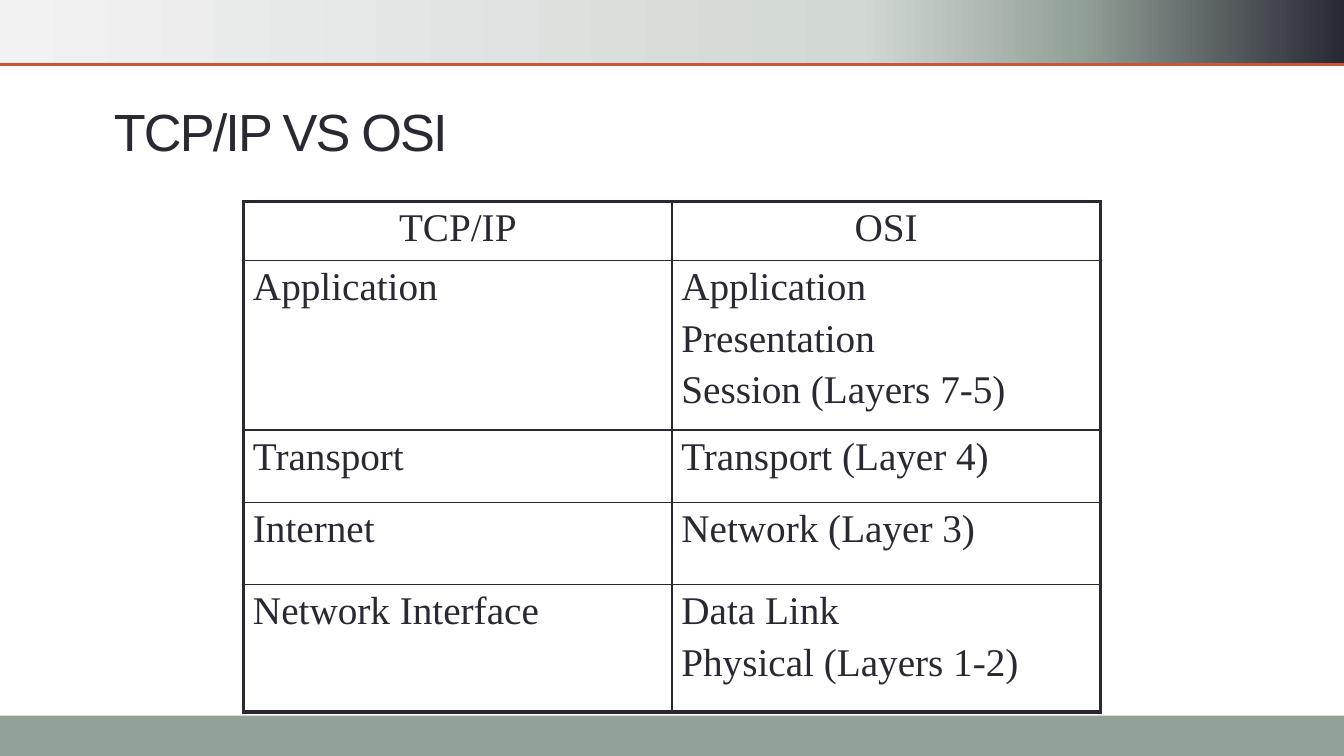
from dataclasses import dataclass

from lxml import etree
from pptx import Presentation, util as u
from pptx.dml.color import RGBColor
from pptx.enum import shapes, text
from pptx.oxml import ns

INK = RGBColor(0x29, 0x29, 0x34)
SAGE = RGBColor(0x93, 0xA2, 0x99)
RUST = RGBColor(0xD2, 0x53, 0x3C)
BAND_STOPS = (
    (0, RGBColor(0xF2, 0xF2, 0xF2)),
    (64, RGBColor(0xD2, 0xD8, 0xD4)),
    (80, SAGE),
    (100, INK),
)
THICK, THIN = 2.25, 1
SLIDE_WIDTH = 10
SLIDE_HEIGHT = SLIDE_WIDTH * 9 / 16
HEADER_HEIGHT, FOOTER_HEIGHT = 0.48, 0.3
COLUMN_WIDTH = 51 / 16
TITLE_FORMAT = {"name": "Arial", "size": u.Pt(28)}
LAYER_FORMAT = {"name": "Times New Roman", "size": u.Pt(21)}
LINE_GAP = u.Pt(4.2)
CELL_FORMAT = {
    "margin_left": u.Inches(0.07),
    "margin_right": u.Inches(0.07),
    "margin_top": u.Inches(0.04),
    "margin_bottom": u.Inches(0.04),
}


@dataclass(frozen=True)
class LayerRow:
    height: float
    tcp_ip: tuple[str, ...]
    osi: tuple[str, ...]
    align: text.PP_ALIGN = text.PP_ALIGN.LEFT


LAYER_ROWS = (
    LayerRow(0.44, ("TCP/IP",), ("OSI",), text.PP_ALIGN.CENTER),
    LayerRow(1.26, ("Application",),
             ("Application", "Presentation", "Session (Layers 7-5)")),
    LayerRow(0.54, ("Transport",), ("Transport (Layer 4)",)),
    LayerRow(0.61, ("Internet",), ("Network (Layer 3)",)),
    LayerRow(0.95, ("Network Interface",), ("Data Link", "Physical (Layers 1-2)")),
)


def apply_format(target, values: dict) -> None:
    for attribute, value in values.items():
        setattr(target, attribute, value)


def add_band(slide, top: float, height: float):
    band = slide.shapes.add_shape(
        shapes.MSO_SHAPE.RECTANGLE, 0, u.Inches(top),
        u.Inches(SLIDE_WIDTH), u.Inches(height))
    band.shadow.inherit = False
    band.line.fill.background()
    return band


def set_gradient(band, stops) -> None:
    band.fill.gradient()
    band.fill.gradient_angle = 0
    stop_list = band._element.spPr.find(ns.qn("a:gradFill")).find(ns.qn("a:gsLst"))
    for old_stop in list(stop_list):
        stop_list.remove(old_stop)
    for percent, color in stops:
        stop = etree.SubElement(stop_list, ns.qn("a:gs"), pos=str(percent * 1000))
        etree.SubElement(stop, ns.qn("a:srgbClr"), val=str(color))


def set_borders(cell, widths: dict[str, float]) -> None:
    properties = cell._tc.get_or_add_tcPr()
    for index, (side, width) in enumerate(widths.items()):
        border = etree.Element(ns.qn(f"a:ln{side}"), w=str(u.Pt(width)))
        fill = etree.SubElement(border, ns.qn("a:solidFill"))
        etree.SubElement(fill, ns.qn("a:srgbClr"), val=str(INK))
        properties.insert(index, border)


def fill_cell(cell, lines: tuple[str, ...], align: text.PP_ALIGN) -> None:
    apply_format(cell, CELL_FORMAT)
    cell.fill.background()
    frame = cell.text_frame
    for index, line in enumerate(lines):
        paragraph = frame.add_paragraph() if index else frame.paragraphs[0]
        paragraph.alignment = align
        if index:
            paragraph.space_before = LINE_GAP
        run = paragraph.add_run()
        run.text = line
        apply_format(run.font, LAYER_FORMAT)
        run.font.color.rgb = INK


def add_layer_table(slide, rows: tuple[LayerRow, ...]) -> None:
    table = slide.shapes.add_table(
        len(rows), 2, u.Inches(SLIDE_WIDTH / 2 - COLUMN_WIDTH), u.Inches(1.5),
        u.Inches(2 * COLUMN_WIDTH),
        u.Inches(sum(row.height for row in rows))).table
    apply_format(table, {"first_row": False, "horz_banding": False})
    for column in table.columns:
        column.width = u.Inches(COLUMN_WIDTH)
    last = len(rows) - 1
    for index, row in enumerate(rows):
        table.rows[index].height = u.Inches(row.height)
        for side, lines in enumerate((row.tcp_ip, row.osi)):
            cell = table.cell(index, side)
            fill_cell(cell, lines, row.align)
            set_borders(cell, {
                "L": THICK if side == 0 else THIN,
                "R": THICK if side == 1 else THIN,
                "T": THICK if index == 0 else THIN,
                "B": THICK if index == last else THIN,
            })


def add_title(slide, wording: str) -> None:
    title = slide.shapes.add_textbox(
        u.Inches(0.75), u.Inches(0.5), u.Inches(8.5), u.Inches(0.94))
    frame = title.text_frame
    apply_format(frame, {"word_wrap": True,
                         "vertical_anchor": text.MSO_ANCHOR.MIDDLE})
    run = frame.paragraphs[0].add_run()
    run.text = wording
    apply_format(run.font, TITLE_FORMAT)
    run.font.color.rgb = INK
    run._r.get_or_add_rPr().set("spc", "-100")


def main() -> None:
    deck = Presentation()
    deck.slide_width = u.Inches(SLIDE_WIDTH)
    deck.slide_height = u.Inches(SLIDE_HEIGHT)
    slide = deck.slides.add_slide(deck.slide_layouts[6])

    # Footer and header bands
    footer = add_band(slide, SLIDE_HEIGHT - FOOTER_HEIGHT, FOOTER_HEIGHT)
    footer.fill.solid()
    footer.fill.fore_color.rgb = SAGE
    header = add_band(slide, 0, HEADER_HEIGHT)
    set_gradient(header, BAND_STOPS)

    # Rule under the header
    rule = slide.shapes.add_connector(
        shapes.MSO_CONNECTOR.STRAIGHT, 0, u.Inches(HEADER_HEIGHT),
        u.Inches(SLIDE_WIDTH), u.Inches(HEADER_HEIGHT))
    rule.line.color.rgb = RUST
    rule.line.width = u.Pt(1.5)
    etree.SubElement(rule._element.spPr, ns.qn("a:effectLst"))

    # Title and layer comparison
    add_title(slide, "TCP/IP VS OSI")
    add_layer_table(slide, LAYER_ROWS)

    deck.save("out.pptx")


if __name__ == "__main__":
    main()
